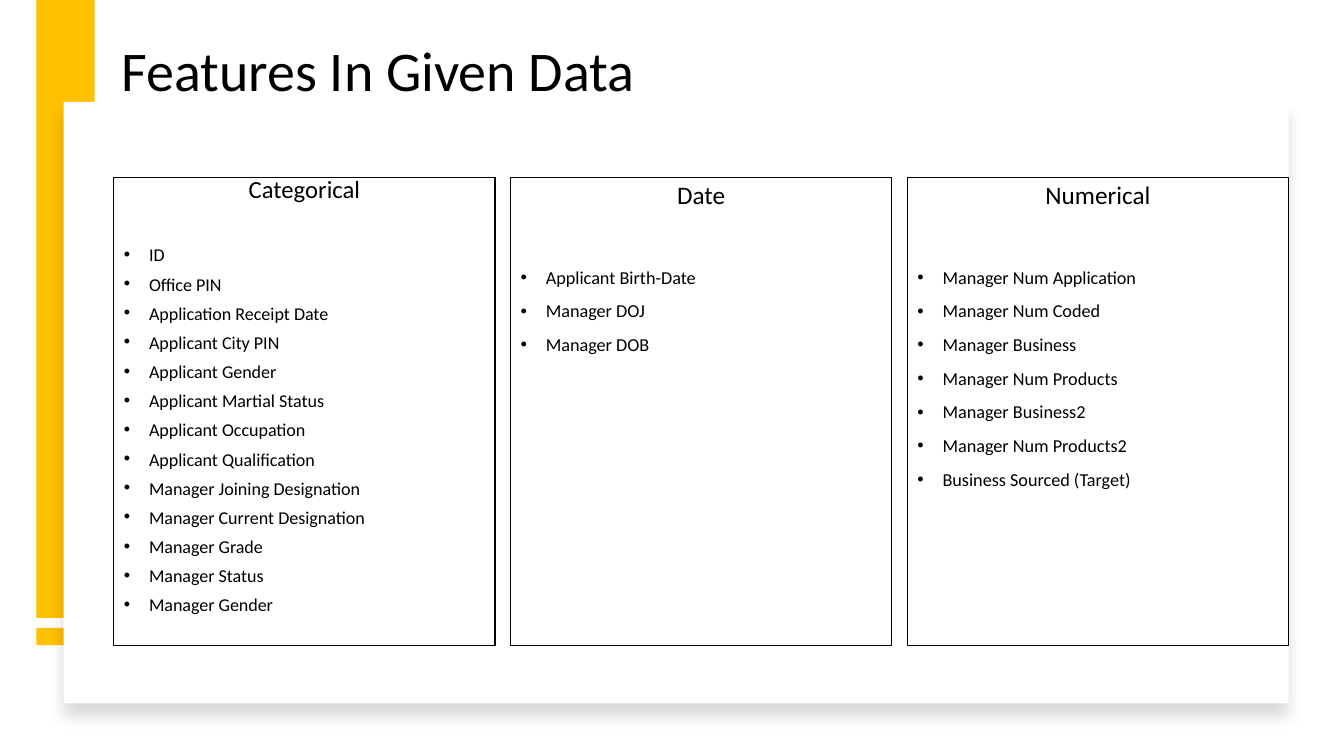
from lxml import etree
from pptx import Presentation
from pptx.dml.color import RGBColor
from pptx.enum.shapes import MSO_SHAPE
from pptx.enum.text import MSO_ANCHOR, PP_ALIGN
from pptx.oxml.ns import qn
from pptx.util import Inches, Pt

RECTANGLE = MSO_SHAPE.RECTANGLE
TOP, MIDDLE = MSO_ANCHOR.TOP, MSO_ANCHOR.MIDDLE
LEFT, CENTER = PP_ALIGN.LEFT, PP_ALIGN.CENTER

BLACK = RGBColor(0x00, 0x00, 0x00)
WHITE = RGBColor(0xFF, 0xFF, 0xFF)
AMBER = RGBColor(0xFF, 0xC0, 0x00)
FONT = "Calibri"

TITLE_BOX = (1.11, 0, 11.5, 1.45)
BAR_BOX = (0.36, 0, 0.58, 6.4)
CARD_BOX = (0.63, 1.01, 12.15, 5.97)
COLUMNS_BOX = (1.13, 1.76, 11.65, 4.64)
COLUMN_GAP = 0.155
BULLET_INDENT = Inches(0.25)

# Heading, heading size, item size, line spacing, gap above the list, items
FEATURES = [
    ("Categorical", 17.6, 12.9, 0.7, 33.4, [
        "ID", "Office PIN", "Application Receipt Date", "Applicant City PIN",
        "Applicant Gender", "Applicant Martial Status", "Applicant Occupation",
        "Applicant Qualification", "Manager Joining Designation",
        "Manager Current Designation", "Manager Grade", "Manager Status",
        "Manager Gender"]),
    ("Date", 18, 13, 0.9, 42, [
        "Applicant Birth-Date", "Manager DOJ", "Manager DOB"]),
    ("Numerical", 18, 13, 0.9, 42, [
        "Manager Num Application", "Manager Num Coded", "Manager Business",
        "Manager Num Products", "Manager Business2", "Manager Num Products2",
        "Business Sourced (Target)"]),
]


def write(paragraph, text, size, align=LEFT, spacing=0.9, before=0, bullet=False):
    paragraph.alignment = align
    paragraph.line_spacing = spacing
    paragraph.space_before = Pt(before)
    run = paragraph.add_run()
    run.text = text
    run.font.name = FONT
    run.font.size = Pt(size)
    run.font.color.rgb = BLACK
    if bullet:
        properties = paragraph._p.get_or_add_pPr()
        properties.set("marL", str(BULLET_INDENT))
        properties.set("indent", str(-BULLET_INDENT))
        etree.SubElement(properties, qn("a:buFont"), typeface="Arial")
        etree.SubElement(properties, qn("a:buChar"), char="•")


def add_rectangle(slide, box, fill=None, line=None):
    rectangle = slide.shapes.add_shape(RECTANGLE, *map(Inches, box))
    rectangle.shadow.inherit = False
    if fill is None:
        rectangle.fill.background()
    else:
        rectangle.fill.solid()
        rectangle.fill.fore_color.rgb = fill
    if line is None:
        rectangle.line.fill.background()
    else:
        rectangle.line.color.rgb = line
        rectangle.line.width = Pt(0.75)
    return rectangle


def add_side_bar(slide, box):
    """Amber bar with a short foot cut off by a narrow gap."""
    left, top, width, height = box
    foot, gap = 0.17, 0.1
    add_rectangle(slide, (left, top, width, height - foot - gap), fill=AMBER)
    add_rectangle(slide, (left, top + height - foot, width, foot), fill=AMBER)


def add_card(slide, box):
    """White panel with a soft shadow below it."""
    card = add_rectangle(slide, box, fill=WHITE)
    effects = card._element.spPr.find(qn("a:effectLst"))
    shadow = etree.SubElement(
        effects, qn("a:outerShdw"), blurRad=str(Pt(11)), dist=str(Pt(10)),
        dir=str(90 * 60000), algn="t", rotWithShape="0")
    color = etree.SubElement(shadow, qn("a:srgbClr"), val=str(BLACK))
    etree.SubElement(color, qn("a:alpha"), val="15000")


def add_title(slide, box):
    frame = slide.shapes.add_textbox(*map(Inches, box)).text_frame
    frame.word_wrap = True
    frame.vertical_anchor = MIDDLE
    write(frame.paragraphs[0], "Features In Given Data", 40)


def add_feature_list(slide, box, heading, heading_size, item_size, spacing, gap, items):
    frame = add_rectangle(slide, box, line=BLACK).text_frame
    frame.word_wrap = True
    frame.vertical_anchor = TOP
    write(frame.paragraphs[0], heading, heading_size, align=CENTER,
          spacing=spacing, before=10)
    for index, item in enumerate(items):
        write(frame.add_paragraph(), item, item_size, spacing=spacing,
              before=10 if index else gap, bullet=True)


def add_feature_columns(slide, box):
    left, top, width, height = box
    pitch = (width + COLUMN_GAP) / len(FEATURES)
    for column, feature in enumerate(FEATURES):
        column_box = (left + column * pitch, top, pitch - COLUMN_GAP, height)
        add_feature_list(slide, column_box, *feature)


def main():
    deck = Presentation()
    deck.slide_width, deck.slide_height = Inches(13.33), Inches(7.5)
    slide = deck.slides.add_slide(deck.slide_layouts[6])
    add_side_bar(slide, BAR_BOX)
    add_card(slide, CARD_BOX)
    add_title(slide, TITLE_BOX)
    add_feature_columns(slide, COLUMNS_BOX)
    deck.save("out.pptx")


if __name__ == "__main__":
    main()
